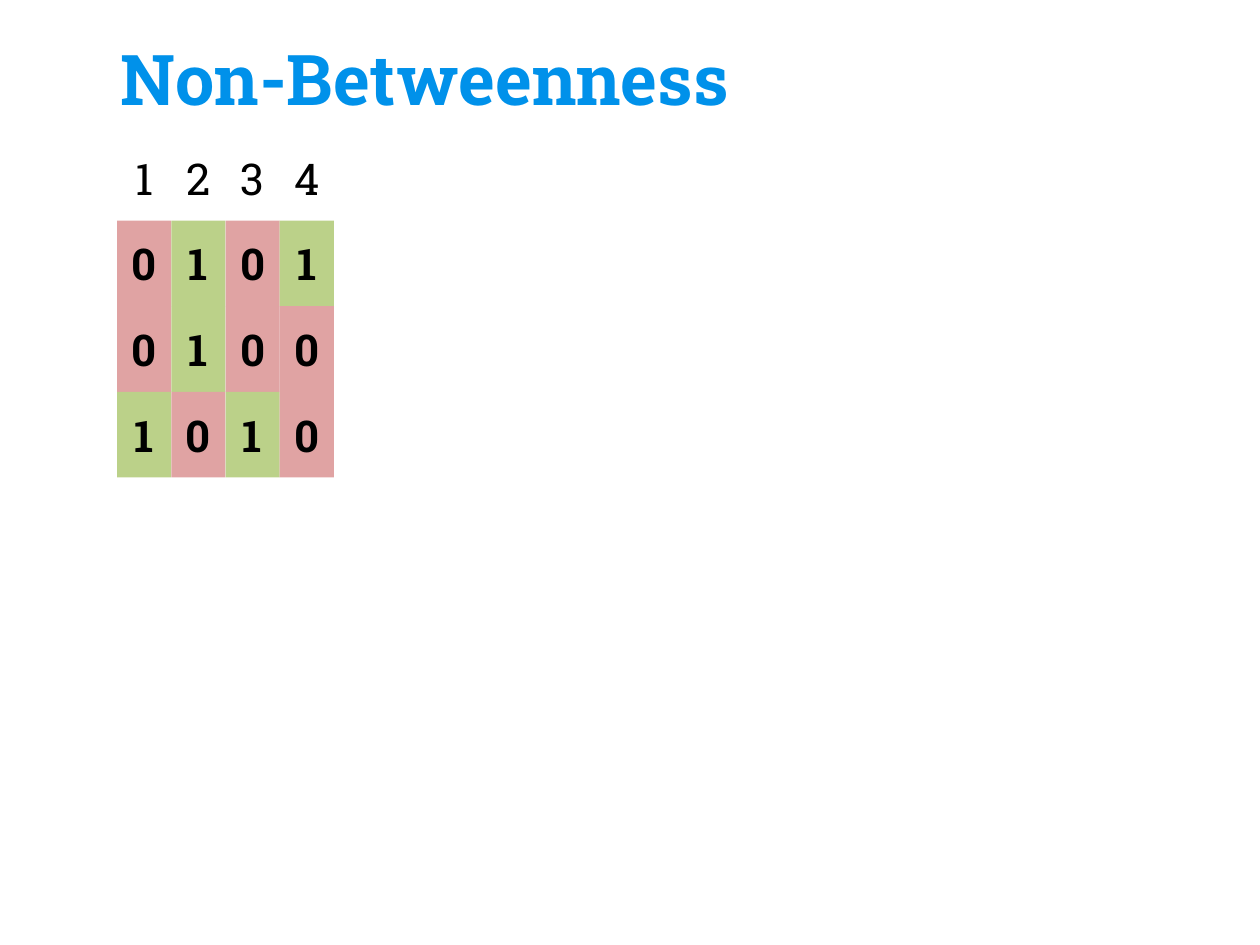
from pptx import Presentation
from pptx.dml.color import RGBColor
from pptx.enum.shapes import MSO_SHAPE
from pptx.enum.text import MSO_ANCHOR, PP_ALIGN
from pptx.util import Inches, Pt

RECT = MSO_SHAPE.RECTANGLE
MIDDLE, BOTTOM = MSO_ANCHOR.MIDDLE, MSO_ANCHOR.BOTTOM
LEFT, CENTER = PP_ALIGN.LEFT, PP_ALIGN.CENTER

BLUE = RGBColor(0x00, 0x91, 0xEA)
BLACK = RGBColor(0x00, 0x00, 0x00)
GREEN = RGBColor(0xBB, 0xD1, 0x89)
RED = RGBColor(0xE0, 0xA3, 0xA3)

FONT = "Roboto Slab"
CELL_W, CELL_H = 0.43, 0.68
GRID_X, GRID_Y = 0.93, 1.07
ROWS = ["0101", "0100", "1010"]


def set_text(sp, text, size=25, color=BLACK, bold=False, align=CENTER, anchor=MIDDLE):
    tf = sp.text_frame
    tf.word_wrap = True
    tf.vertical_anchor = anchor
    tf.margin_left = tf.margin_right = tf.margin_top = tf.margin_bottom = Inches(0.1)
    p = tf.paragraphs[0]
    p.alignment = align
    r = p.add_run()
    r.text = text
    r.font.name = FONT
    r.font.size = Pt(size)
    r.font.bold = bold
    r.font.color.rgb = color


class SlideBuilder:
    """Draws styled elements on the current slide."""

    def __init__(self, s):
        self.s = s

    def title(self, text, x, y, w, h):
        sp = self.s.shapes.add_textbox(Inches(x), Inches(y), Inches(w), Inches(h))
        set_text(sp, text, size=40, color=BLUE, bold=True, align=LEFT, anchor=BOTTOM)

    def label(self, shapes, text, *box):
        set_text(shapes.add_textbox(*box), text)

    def bit(self, shapes, text, *box):
        sp = shapes.add_shape(RECT, *box)
        sp.shadow.inherit = False
        sp.fill.solid()
        sp.fill.fore_color.rgb = GREEN if text == "1" else RED
        sp.line.fill.background()
        set_text(sp, text, bold=True)

    def column(self, number, bits, x, y):
        shapes = self.s.shapes.add_group_shape().shapes
        size = Inches(CELL_W), Inches(CELL_H)
        self.label(shapes, str(number), Inches(x), Inches(y), *size)
        for row, bit in enumerate(bits, 1):
            self.bit(shapes, bit, Inches(x), Inches(y + row * CELL_H), *size)


def main():
    prs = Presentation()
    prs.slide_width, prs.slide_height = Inches(10), Inches(7.5)
    slide = SlideBuilder(prs.slides.add_slide(prs.slide_layouts[6]))
    slide.title("Non-Betweenness", 0.86, 0.03, 8.28, 1.02)
    for col, bits in enumerate(zip(*ROWS)):
        slide.column(col + 1, bits, GRID_X + col * CELL_W, GRID_Y)
    prs.save("out.pptx")


if __name__ == "__main__":
    main()
